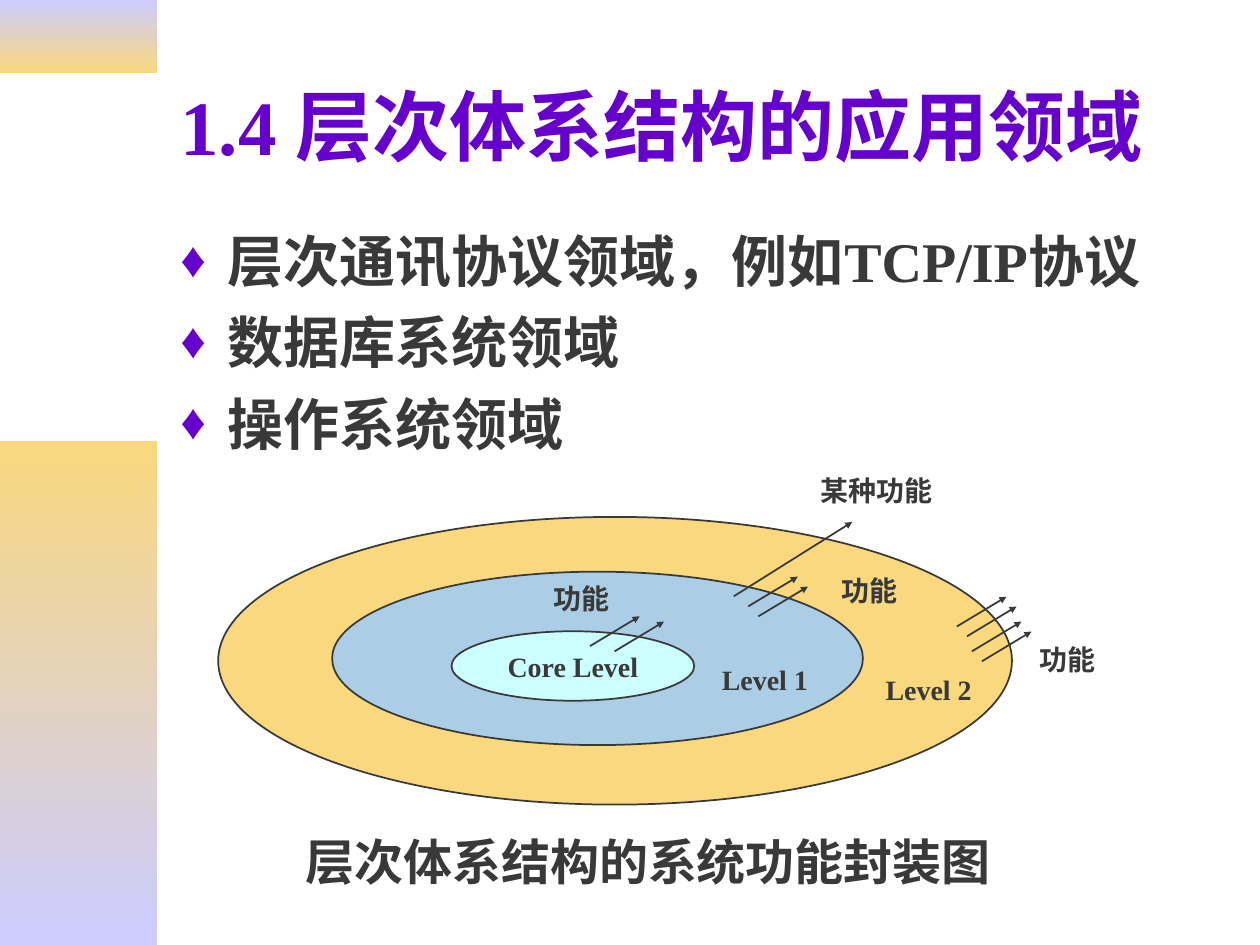
from lxml import etree
from pptx import Presentation
from pptx.dml.color import RGBColor
from pptx.enum import shapes, text
from pptx.oxml.ns import qn
from pptx.util import Pt

COLORS = {
    "lavender": "CCCCFF",
    "gold": "F9D87E",
    "purple": "6600CC",
    "ink": "393939",
    "blue": "99CCFF",
    "cyan": "CCFFFF",
}
FONT = "Times New Roman"


def color(name):
    return RGBColor.from_string(COLORS[name])


def write(shape, lines, size, name="ink", wrap=False):
    frame = shape.text_frame
    frame.word_wrap = wrap
    frame.text = "\n".join(lines)
    for paragraph in frame.paragraphs:
        for run in paragraph.runs:
            run.font.name = FONT
            run.font.size = Pt(size)
            run.font.bold = True
            run.font.color.rgb = color(name)
    return frame


presentation = Presentation()
presentation.slide_width, presentation.slide_height = Pt(720), Pt(540)
slide = presentation.slides.add_slide(presentation.slide_layouts[6])

for top, height, stops in [
    (0, 42, ("lavender", "gold")),
    (252, 288, ("gold", "lavender")),
]:
    band = slide.shapes.add_shape(
        shapes.MSO_SHAPE.RECTANGLE, Pt(0), Pt(top), Pt(90), Pt(height)
    )
    band.shadow.inherit = False
    band.line.fill.background()
    band.fill.gradient()
    band.fill.gradient_angle = 270
    for position, (stop, name) in enumerate(zip(band.fill.gradient_stops, stops)):
        stop.position = position
        stop.color.rgb = color(name)

title = slide.shapes.add_textbox(Pt(96), Pt(24), Pt(612), Pt(95))
frame = write(title, ["1.4 层次体系结构的应用领域"], 44, "purple", True)
frame.vertical_anchor = text.MSO_ANCHOR.MIDDLE

body = slide.shapes.add_textbox(Pt(96), Pt(126), Pt(612), Pt(175))
fields = ["层次通讯协议领域，例如TCP/IP协议", "数据库系统领域", "操作系统领域"]
frame = write(body, fields, 32, wrap=True)
for index, paragraph in enumerate(frame.paragraphs):
    paragraph.space_before = Pt(8 if index else 0)
    properties = paragraph._p.get_or_add_pPr()
    properties.set("marL", str(Pt(27)))
    properties.set("indent", str(Pt(-27)))
    bullet_color = etree.SubElement(properties, qn("a:buClr"))
    etree.SubElement(bullet_color, qn("a:srgbClr"), val=COLORS["purple"])
    etree.SubElement(properties, qn("a:buSzPct"), val="90000")
    etree.SubElement(properties, qn("a:buFont"), typeface=FONT)
    etree.SubElement(properties, qn("a:buChar"), char="♦")

levels = {}
for name, left, top, width, height in [
    ("gold", 124.7, 295.4, 453.6, 164.4),
    ("blue", 189.8, 326.7, 303.3, 99.1),
    ("cyan", 258, 360.7, 138.7, 39.7),
]:
    level = slide.shapes.add_shape(
        shapes.MSO_SHAPE.OVAL, Pt(left), Pt(top), Pt(width), Pt(height)
    )
    level.shadow.inherit = False
    level.fill.solid()
    level.fill.fore_color.rgb = color(name)
    level.line.color.rgb = color("ink")
    level.line.width = Pt(1)
    levels[name] = level

blue_fill = levels["blue"]._element.spPr.find(qn("a:solidFill"))
etree.SubElement(blue_fill[0], qn("a:alpha"), val="81000")
frame = write(levels["cyan"], ["Core Level"], 16)
frame.vertical_anchor = text.MSO_ANCHOR.MIDDLE
frame.paragraphs[0].alignment = text.PP_ALIGN.CENTER

for label, left, top, width, height, size, wrap in [
    ("Level 1", 405.4, 375.1, 63.4, 26.6, 16, False),
    ("功能", 309.2, 328.5, 46.1, 26.6, 16, False),
    ("功能", 473.6, 324, 46.1, 26.6, 16, False),
    ("功能", 586.8, 363.6, 46.1, 26.6, 16, False),
    ("Level 2", 499, 380.9, 63.4, 26.6, 16, False),
    ("某种功能", 462, 267.1, 99.4, 26.6, 16, True),
    ("层次体系结构的系统功能封装图", 167.5, 471.6, 408, 41, 28, False),
]:
    box = slide.shapes.add_textbox(Pt(left), Pt(top), Pt(width), Pt(height))
    frame = write(box, [label], size, wrap=wrap)
    frame.auto_size = text.MSO_AUTO_SIZE.SHAPE_TO_FIT_TEXT

short, long = (28.3, -17), (67.7, -42.5)
for left, top, (across, rise) in [
    (337.2, 369.2, short),
    (351.2, 372.2, short),
    (433.4, 352.2, short),
    (427.6, 346.5, short),
    (419.3, 340.8, long),
    (546.8, 358, short),
    (552.6, 363.6, short),
    (555.4, 372.2, short),
    (561.1, 377.9, short),
]:
    arrow = slide.shapes.add_connector(
        shapes.MSO_CONNECTOR.STRAIGHT,
        Pt(left), Pt(top), Pt(left + across), Pt(top + rise),
    )
    arrow.line.color.rgb = color("ink")
    arrow.line.width = Pt(1)
    etree.SubElement(
        arrow.line._get_or_add_ln(), qn("a:tailEnd"), type="triangle", w="sm", len="sm"
    )
    etree.SubElement(arrow._element.spPr, qn("a:effectLst"))

presentation.save("out.pptx")
